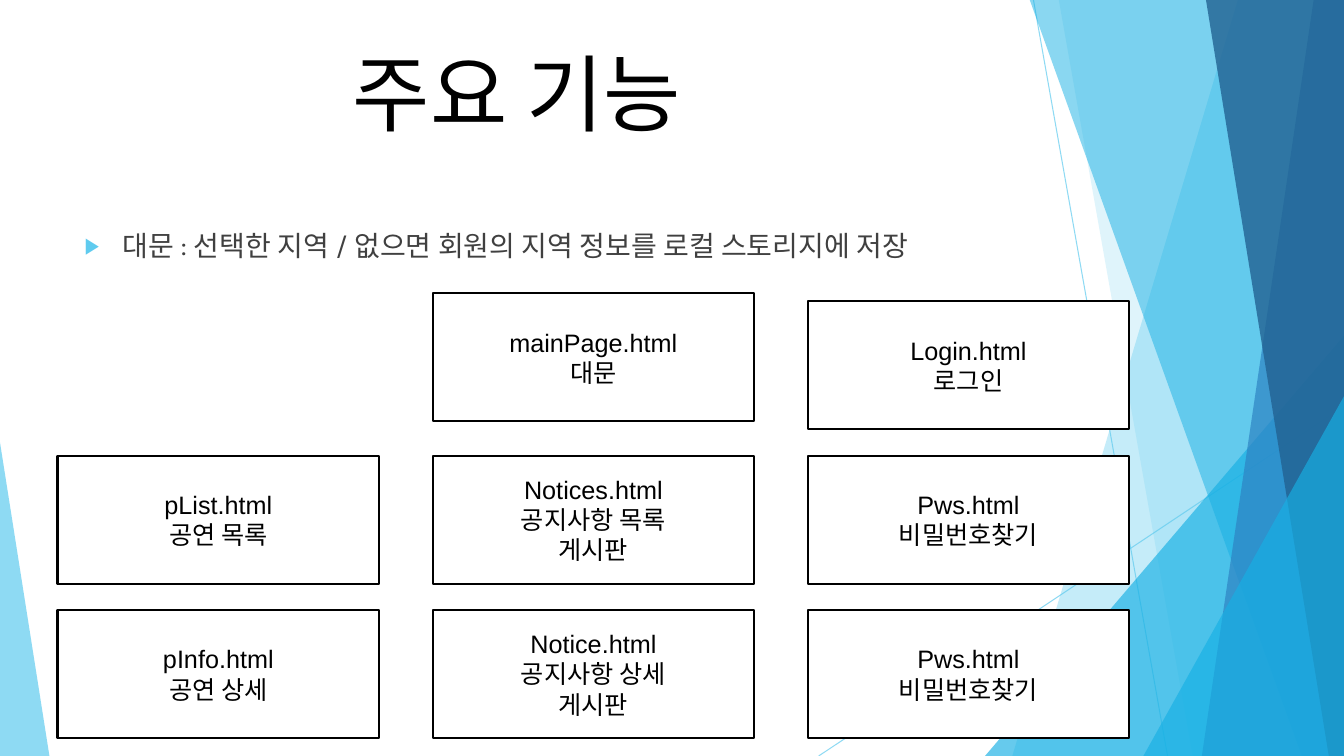
from dataclasses import dataclass

from lxml.etree import SubElement
from pptx import Presentation
from pptx.dml.color import RGBColor
from pptx.dml.fill import FillFormat
from pptx.enum.shapes import MSO_CONNECTOR, MSO_SHAPE
from pptx.enum.text import MSO_ANCHOR, MSO_AUTO_SIZE, PP_ALIGN
from pptx.oxml.ns import qn
from pptx.slide import Slide
from pptx.text.text import Font, TextFrame
from pptx.util import Inches, Pt

SKY = RGBColor(0x5F, 0xCB, 0xEF)
CYAN = RGBColor(0x17, 0xB0, 0xE4)
BLUE = RGBColor(0x2E, 0x83, 0xC3)
NAVY = RGBColor(0x22, 0x62, 0x92)
BLACK = RGBColor(0x00, 0x00, 0x00)
WHITE = RGBColor(0xFF, 0xFF, 0xFF)
GREY = RGBColor(0x40, 0x40, 0x40)

SLIDE_WIDTH, SLIDE_HEIGHT = 13.33, 7.5
BOX_WIDTH, BOX_HEIGHT = 3.19, 1.27
GRID_LEFT, GRID_TOP = 0.57, 2.99
COLUMN_STEP, ROW_STEP = 3.72, 1.53

TITLE_FONT = {"name": "Karla", "size": Pt(60), "bold": False}
BULLET_FONT = {"name": "Karla", "size": Pt(20)}
BOX_FONT = {"name": "Arial", "size": Pt(18)}


@dataclass(frozen=True)
class Shard:
    """A four-sided panel from a slanted left edge to the right slide edge."""
    top_x: float
    bottom_x: float
    color: RGBColor
    opacity: int


@dataclass(frozen=True)
class Triangle:
    left: float
    top: float
    width: float
    apex: float
    color: RGBColor
    opacity: int


@dataclass(frozen=True)
class PageBox:
    column: int
    row: int
    paragraphs: tuple[str, ...]
    raised: float = 0


RAYS = [(10.25, 0, 11.58, 7.5), (13.33, 4.03, 8.12, 7.5)]
DECORATION = [
    Shard(12.28, 10.04, SKY, 36),
    Shard(10.5, 11.83, SKY, 20),
    Triangle(9.77, 3.33, 3.56, 1, CYAN, 66),
    Shard(10.21, 12.91, CYAN, 50),
    Shard(13.03, 11.92, BLUE, 70),
    Shard(11.96, 13.18, NAVY, 80),
    Triangle(11.34, 3.93, 1.99, 1, CYAN, 66),
    Triangle(0, 4.39, 0.49, 0, SKY, 70),
]
PAGE_BOXES = [
    PageBox(2, 2, ("Pws.html\n비밀번호찾기",)),
    PageBox(2, 1, ("Pws.html\n비밀번호찾기",)),
    PageBox(2, 0, ("Login.html\n로그인",)),
    PageBox(1, 0, ("mainPage.html\n대문",), raised=0.08),
    PageBox(1, 1, ("Notices.html\n공지사항 목록\n게시판",)),
    PageBox(1, 2, ("Notice.html\n공지사항 상세", "게시판")),
    PageBox(0, 1, ("pList.html\n공연 목록",)),
    PageBox(0, 2, ("pInfo.html\n공연 상세",)),
]


def format_font(font: Font, values: dict, color: RGBColor) -> None:
    for name, value in values.items():
        setattr(font, name, value)
    font.color.rgb = color


def write_paragraphs(frame: TextFrame, texts: tuple[str, ...], values: dict,
                     color: RGBColor, alignment: PP_ALIGN) -> None:
    for index, text in enumerate(texts):
        paragraph = frame.add_paragraph() if index else frame.paragraphs[0]
        paragraph.text = text
        paragraph.alignment = alignment
        for run in paragraph.runs:
            format_font(run.font, values, color)


def paint(fill: FillFormat, color: RGBColor, parent, opacity: int) -> None:
    """Fill with a colour and set its opacity in percent below parent."""
    fill.solid()
    fill.fore_color.rgb = color
    color_element = next(parent.iter(qn("a:srgbClr")))
    SubElement(color_element, qn("a:alpha"), val=str(opacity * 1000))


def add_ray(slide: Slide, ends: tuple[float, float, float, float]) -> None:
    ray = slide.shapes.add_connector(
        MSO_CONNECTOR.STRAIGHT, *(Inches(value) for value in ends))
    ray.line.width = Pt(0.75)
    paint(ray.line.fill, SKY, ray.line.fill._xPr, 70)
    SubElement(ray._element.spPr, qn("a:effectLst"))


def add_decoration(slide: Slide, item: Shard | Triangle) -> None:
    if isinstance(item, Shard):
        builder = slide.shapes.build_freeform(
            Inches(item.top_x), Inches(-0.01))
        corners = [(SLIDE_WIDTH, -0.01), (SLIDE_WIDTH, SLIDE_HEIGHT),
                   (item.bottom_x, SLIDE_HEIGHT)]
        builder.add_line_segments(
            [(Inches(x), Inches(y)) for x, y in corners], close=True)
        shape = builder.convert_to_shape()
    else:
        shape = slide.shapes.add_shape(
            MSO_SHAPE.ISOSCELES_TRIANGLE, Inches(item.left), Inches(item.top),
            Inches(item.width), Inches(SLIDE_HEIGHT - item.top))
        shape.adjustments[0] = item.apex
    paint(shape.fill, item.color, shape._element.spPr, item.opacity)
    shape.line.fill.background()
    shape.shadow.inherit = False


def add_title(slide: Slide) -> None:
    title = slide.shapes.title
    title.left, title.top = Inches(3.4), Inches(0.36)
    title.width, title.height = Inches(4.08), Inches(1.44)
    frame = title.text_frame
    frame.auto_size = MSO_AUTO_SIZE.NONE
    frame.vertical_anchor = MSO_ANCHOR.TOP
    write_paragraphs(frame, ("주요 기능",), TITLE_FONT, BLACK, PP_ALIGN.LEFT)


def add_bullet_text(slide: Slide) -> None:
    box = slide.shapes.add_textbox(
        Inches(0.74), Inches(1.8), Inches(9.4), Inches(4.24))
    frame = box.text_frame
    frame.word_wrap = True
    frame.margin_top = Inches(0.47)
    text = "대문 : 선택한 지역 / 없으면 회원의 지역 정보를 로컬 스토리지에 저장"
    write_paragraphs(frame, (text,), BULLET_FONT, GREY, PP_ALIGN.LEFT)
    properties = frame.paragraphs[0]._p.get_or_add_pPr()
    properties.set("marL", str(Inches(0.38)))
    properties.set("indent", str(Inches(-0.38)))
    bullet_color = SubElement(properties, qn("a:buClr"))
    SubElement(bullet_color, qn("a:srgbClr"), val=str(SKY))
    SubElement(properties, qn("a:buSzPct"), val="80000")
    SubElement(properties, qn("a:buFont"), typeface="Arial")
    SubElement(properties, qn("a:buChar"), char="▶")


def add_page_box(slide: Slide, box: PageBox) -> None:
    shape = slide.shapes.add_shape(
        MSO_SHAPE.RECTANGLE,
        Inches(GRID_LEFT + box.column * COLUMN_STEP),
        Inches(GRID_TOP + box.row * ROW_STEP - box.raised),
        Inches(BOX_WIDTH), Inches(BOX_HEIGHT))
    shape.shadow.inherit = False
    shape.fill.solid()
    shape.fill.fore_color.rgb = WHITE
    shape.line.color.rgb = BLACK
    shape.line.width = Pt(1.5)
    shape.text_frame.vertical_anchor = MSO_ANCHOR.MIDDLE
    write_paragraphs(shape.text_frame, box.paragraphs, BOX_FONT, BLACK,
                     PP_ALIGN.CENTER)


def main() -> None:
    presentation = Presentation()
    presentation.slide_width = Inches(SLIDE_WIDTH)
    presentation.slide_height = Inches(SLIDE_HEIGHT)
    slide = presentation.slides.add_slide(presentation.slide_layouts[5])
    for ray in RAYS:
        add_ray(slide, ray)
    for item in DECORATION:
        add_decoration(slide, item)
    add_title(slide)
    add_bullet_text(slide)
    for box in PAGE_BOXES:
        add_page_box(slide, box)
    presentation.save("out.pptx")


if __name__ == "__main__":
    main()
